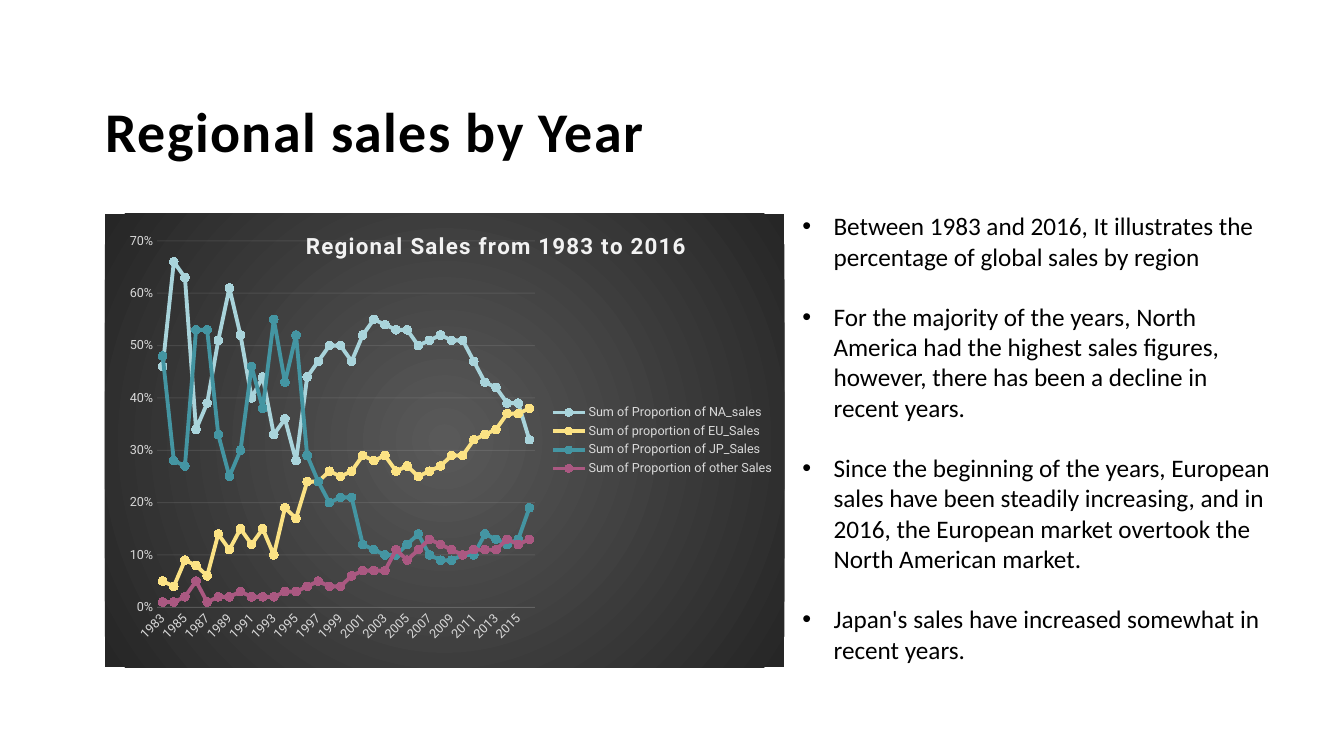
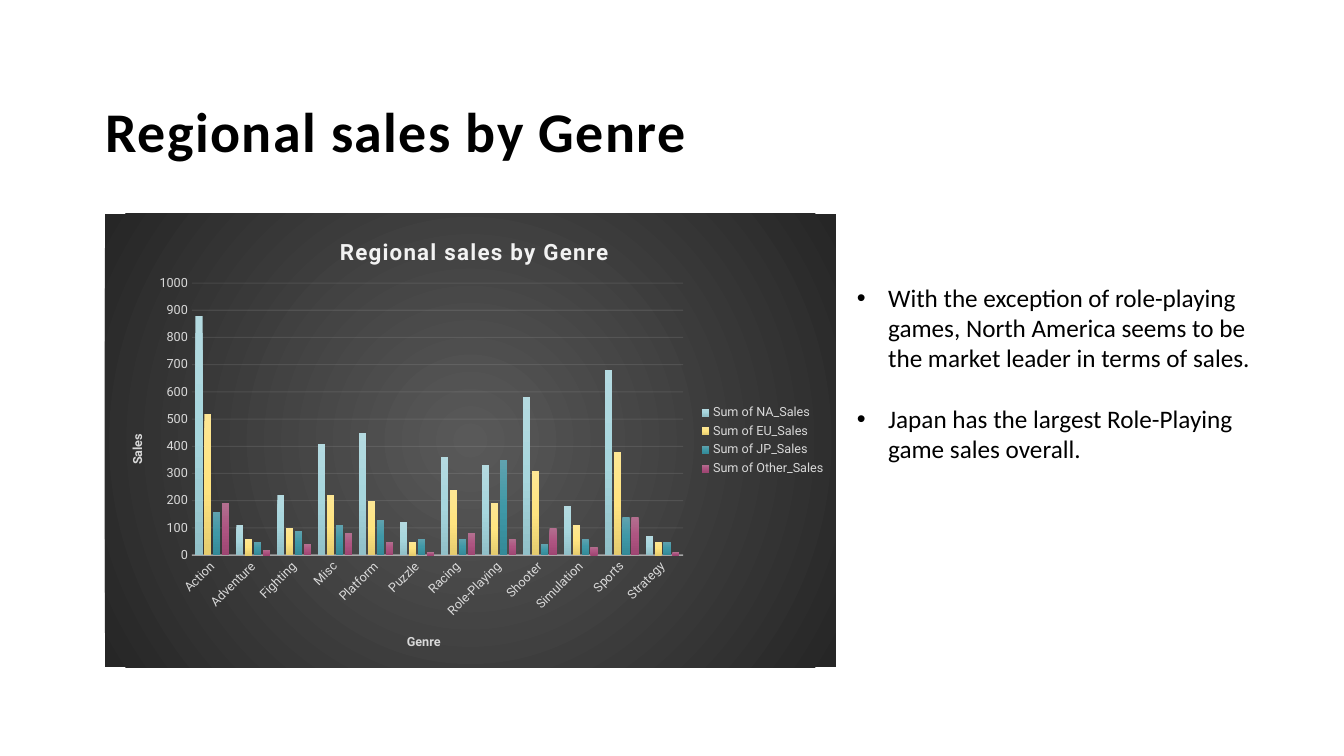
from dataclasses import dataclass
from typing import Any, NamedTuple

from lxml import etree
from pptx import Presentation
from pptx import util as u
from pptx.chart.data import CategoryChartData
from pptx.dml.color import RGBColor
from pptx.enum import chart as charts, text
from pptx.oxml import parse_xml
from pptx.oxml.ns import nsdecls, qn

PAGE_WIDTH, PAGE_HEIGHT = u.Inches(13.333), u.Inches(7.5)
BLACK, PALE, GREY = "000000", "F2F2F2", "D9D9D9"
BACKDROP = ("595959", "262626")
TITLE_FORMAT = {"name": "Calibri", "size": u.Pt(40), "bold": True, "color": BLACK}
BODY_FORMAT = {"name": "Calibri", "size": u.Pt(18), "color": BLACK}
LABEL_FORMAT = {"name": "Roboto", "size": u.Pt(9), "bold": False, "color": GREY}
AXIS_TITLE_FORMAT = LABEL_FORMAT | {"bold": True}
CHART_TITLE_FORMAT = {"name": "Roboto", "size": u.Pt(16), "bold": True, "color": PALE}


class Region(NamedTuple):
    """A rectangle in percent of the page."""
    left: float
    top: float
    width: float
    height: float

    def lengths(self) -> list[int]:
        sides = (PAGE_WIDTH, PAGE_HEIGHT) * 2
        return [round(side * share / 100) for side, share in zip(sides, self)]


class SeriesLook(NamedTuple):
    line: str
    light: str
    base: str
    dark: str


class AxisTitle(NamedTuple):
    label: str
    x: float
    y: float


@dataclass
class ChartPlan:
    kind: Any
    region: Region
    title: AxisTitle
    plot: tuple[float, float, float, float]
    categories: list[str]
    series: dict[str, list[float]]
    maximum: float
    unit: float
    number_format: str
    axis_width: float
    axis_opacity: int
    axis_titles: tuple[AxisTitle, ...] = ()


@dataclass
class PagePlan:
    title: str
    chart: ChartPlan
    points_region: Region
    points: list[str]


TITLE_REGION = Region(7.88, 12.8, 66.3, 8.93)
LOOKS = [
    SeriesLook("A9D4DB", "B4DAE0", "A7D6DD", "91C0C8"),
    SeriesLook("FBE284", "FDE694", "FFE480", "E5CC6F"),
    SeriesLook("4495A2", "60A2AE", "3F98A7", "348A98"),
    SeriesLook("AA5881", "B36F8F", "AE5481", "9F4673"),
]

YEAR_CHART = ChartPlan(
    charts.XL_CHART_TYPE.LINE_MARKERS, Region(7.8, 28.27, 50.56, 60),
    AxisTitle("Regional Sales from 1983 to 2016", 0.29, 0.03),
    (0.077, 0.06, 0.556, 0.808),
    [str(year) for year in range(1983, 2017)],
    {
        "Sum of Proportion of NA_sales": [
            0.46, 0.66, 0.63, 0.34, 0.39, 0.51, 0.61, 0.52, 0.4, 0.44, 0.33, 0.36,
            0.28, 0.44, 0.47, 0.5, 0.5, 0.47, 0.52, 0.55, 0.54, 0.53, 0.53, 0.5,
            0.51, 0.52, 0.51, 0.51, 0.47, 0.43, 0.42, 0.39, 0.39, 0.32],
        "Sum of proportion of EU_Sales": [
            0.05, 0.04, 0.09, 0.08, 0.06, 0.14, 0.11, 0.15, 0.12, 0.15, 0.1, 0.19,
            0.17, 0.24, 0.24, 0.26, 0.25, 0.26, 0.29, 0.28, 0.29, 0.26, 0.27, 0.25,
            0.26, 0.27, 0.29, 0.29, 0.32, 0.33, 0.34, 0.37, 0.37, 0.38],
        "Sum of Proportion of JP_Sales": [
            0.48, 0.28, 0.27, 0.53, 0.53, 0.33, 0.25, 0.3, 0.46, 0.38, 0.55, 0.43,
            0.52, 0.29, 0.24, 0.2, 0.21, 0.21, 0.12, 0.11, 0.1, 0.1, 0.12, 0.14,
            0.1, 0.09, 0.09, 0.1, 0.1, 0.14, 0.13, 0.12, 0.13, 0.19],
        "Sum of Proportion of other Sales": [
            0.01, 0.01, 0.02, 0.05, 0.01, 0.02, 0.02, 0.03, 0.02, 0.02, 0.02, 0.03,
            0.03, 0.04, 0.05, 0.04, 0.04, 0.06, 0.07, 0.07, 0.07, 0.11, 0.09, 0.11,
            0.13, 0.12, 0.11, 0.1, 0.11, 0.11, 0.11, 0.13, 0.12, 0.13],
    },
    0.7, 0.1, "0%", 0.75, 10,
)

GENRE_CHART = ChartPlan(
    charts.XL_CHART_TYPE.COLUMN_CLUSTERED, Region(7.8, 28.27, 54.39, 60),
    AxisTitle("Regional sales by Genre", 0.316, 0.045),
    (0.119, 0.153, 0.672, 0.6),
    ["Action", "Adventure", "Fighting", "Misc", "Platform", "Puzzle", "Racing",
     "Role-Playing", "Shooter", "Simulation", "Sports", "Strategy"],
    {
        "Sum of NA_Sales": [880, 110, 220, 410, 450, 120, 360, 330, 580, 180, 680, 70],
        "Sum of EU_Sales": [520, 60, 100, 220, 200, 50, 240, 190, 310, 110, 380, 50],
        "Sum of JP_Sales": [160, 50, 90, 110, 130, 60, 60, 350, 40, 60, 140, 50],
        "Sum of Other_Sales": [190, 20, 40, 80, 50, 10, 80, 60, 100, 30, 140, 10],
    },
    1000, 100, "General", 1, 54,
    (AxisTitle("Genre", 0.41, 0.92), AxisTitle("Sales", 0.03, 0.48)),
)

PAGES = [
    PagePlan("Regional sales by Year", YEAR_CHART, Region(58.96, 27.2, 36.83, 61.87), [
        "Between 1983 and 2016, It illustrates the percentage of global sales by region",
        "For the majority of the years, North America had the highest sales figures, "
        "however, there has been a decline in recent years.",
        "Since the beginning of the years, European sales have been steadily increasing, "
        "and in 2016, the European market overtook the North American market.",
        "Japan's sales have increased somewhat in recent years.",
    ]),
    PagePlan("Regional sales by Genre", GENRE_CHART, Region(63.02, 36.67, 31.28, 25.6), [
        "With the exception of role-playing games, North America seems to be the market "
        "leader in terms of sales.",
        "Japan has the largest Role-Playing game sales overall.",
    ]),
]


def rgb(colour: str) -> RGBColor:
    return RGBColor.from_string(colour)


def apply_format(font: Any, values: dict[str, Any]) -> None:
    for name, value in values.items():
        if name == "color":
            font.color.rgb = rgb(value)
        else:
            setattr(font, name, value)


def draw_line(line: Any, colour: str, width: float, opacity: int = 100) -> None:
    line.color.rgb, line.width = rgb(colour), u.Pt(width)
    if opacity < 100:
        shade = line._get_or_add_ln().find(".//" + qn("a:srgbClr"))
        etree.SubElement(shade, qn("a:alpha")).set("val", str(opacity * 1000))


def gradient(colours: tuple[str, ...], direction: str) -> Any:
    """Evenly spaced gradient fill; direction is its a:lin or a:path element."""
    step = 100000 // (len(colours) - 1)
    stops = "".join(f'<a:gs pos="{index * step}"><a:srgbClr val="{colour}"/></a:gs>'
                    for index, colour in enumerate(colours))
    return parse_xml(f'<a:gradFill {nsdecls("a")} rotWithShape="1">'
                     f"<a:gsLst>{stops}</a:gsLst>{direction}</a:gradFill>")


def set_layout(element: Any, *shares: float) -> None:
    """Fix x, y and optionally width, height as shares of the chart."""
    for old in element.findall(qn("c:layout")):
        element.remove(old)
    layout = etree.Element(qn("c:layout"))
    manual = etree.SubElement(layout, qn("c:manualLayout"))
    settings = [("layoutTarget", "inner")] if len(shares) == 4 else []
    settings += [("xMode", "edge"), ("yMode", "edge"), *zip("xywh", shares)]
    for name, value in settings:
        etree.SubElement(manual, qn(f"c:{name}")).set("val", str(value))
    element.insert(0 if element.find(qn("c:tx")) is None else 1, layout)


def write_title(title: Any, plan: AxisTitle, values: dict[str, Any]) -> Any:
    title.text_frame.text = plan.label
    span = title.text_frame.paragraphs[0].runs[0]
    apply_format(span.font, values)
    set_layout(title._element, plan.x, plan.y)
    return span


def space_letters(span: Any) -> None:
    span.font._element.set("spc", "100")


def add_page_title(page: Any, label: str) -> None:
    frame = page.shapes.add_textbox(*TITLE_REGION.lengths()).text_frame
    settings = {"word_wrap": True, "vertical_anchor": text.MSO_ANCHOR.BOTTOM,
                "margin_left": 0, "margin_right": 0, "margin_top": 0, "margin_bottom": 0}
    for name, value in settings.items():
        setattr(frame, name, value)
    para = frame.paragraphs[0]
    para.line_spacing = 0.9
    span = para.add_run()
    span.text = label
    apply_format(span.font, TITLE_FORMAT)
    space_letters(span)


def add_points(page: Any, region: Region, points: list[str]) -> None:
    frame = page.shapes.add_textbox(*region.lengths()).text_frame
    frame.word_wrap = True
    indent = u.Inches(0.31)
    for index, point in enumerate(points):
        para = frame.add_paragraph() if index else frame.paragraphs[0]
        span = para.add_run()
        span.text = point
        apply_format(span.font, BODY_FORMAT)
        if index < len(points) - 1:
            para.space_after = u.Pt(21.6)
        settings = para._p.get_or_add_pPr()
        settings.set("marL", str(indent))
        settings.set("indent", str(-indent))
        etree.SubElement(settings, qn("a:buFont")).set("typeface", "Arial")
        etree.SubElement(settings, qn("a:buChar")).set("char", "•")


def style_axes(chart: Any, plan: ChartPlan) -> None:
    category, value = axes = chart.category_axis, chart.value_axis
    for axis in axes:
        axis.major_tick_mark = axis.minor_tick_mark = charts.XL_TICK_MARK.NONE
        apply_format(axis.tick_labels.font, LABEL_FORMAT)
    draw_line(category.format.line, PALE, plan.axis_width, plan.axis_opacity)
    category._element.find(qn("c:txPr")).find(qn("a:bodyPr")).set("rot", "-2700000")
    value.format.line.fill.background()
    value.minimum_scale, value.maximum_scale, value.major_unit = 0, plan.maximum, plan.unit
    value.tick_labels.number_format = plan.number_format
    value.tick_labels.number_format_is_linked = False
    draw_line(value.major_gridlines.format.line, PALE, 0.75, 10)
    for axis, title in zip(axes, plan.axis_titles):
        write_title(axis.axis_title, title, AXIS_TITLE_FORMAT)
    if plan.axis_titles:
        value.axis_title.text_frame._bodyPr.set("rot", "-5400000")


def style_series(series: Any, look: SeriesLook, is_line: bool) -> None:
    if not is_line:
        series.invert_if_negative = False
        fill = gradient(look[1:], '<a:lin ang="5400000" scaled="0"/>')
        series._element.get_or_add_spPr().insert(0, fill)
        return
    series.smooth = False
    draw_line(series.format.line, look.line, 2.75)
    marker = series.marker
    marker.style, marker.size = charts.XL_MARKER_STYLE.CIRCLE, 6
    marker.format.fill.solid()
    marker.format.fill.fore_color.rgb = rgb(look.base)
    draw_line(marker.format.line, look.base, 0.75)


def add_sales_chart(page: Any, plan: ChartPlan) -> None:
    data = CategoryChartData(number_format=plan.number_format)
    data.categories = plan.categories
    for name, values in plan.series.items():
        data.add_series(name, values)
    chart = page.shapes.add_chart(plan.kind, *plan.region.lengths(), data).chart
    apply_format(chart.font, {"name": "Roboto", "size": u.Pt(10), "color": "FFFFFF"})
    space_letters(write_title(chart.chart_title, plan.title, CHART_TITLE_FORMAT))
    chart.has_legend = True
    chart.legend.position = charts.XL_LEGEND_POSITION.RIGHT
    chart.legend.include_in_layout = False
    apply_format(chart.legend.font, LABEL_FORMAT)
    style_axes(chart, plan)
    is_line = plan.kind == charts.XL_CHART_TYPE.LINE_MARKERS
    plot = chart.plots[0]
    plot.vary_by_categories = False
    if not is_line:
        plot.gap_width, plot.overlap = 100, -24
    for series, look in zip(plot.series, LOOKS):
        style_series(series, look, is_line)
    body = chart.element.find(qn("c:chart"))
    set_layout(body.find(qn("c:plotArea")), *plan.plot)
    backdrop = parse_xml(f'<c:spPr {nsdecls("c", "a")}><a:ln><a:noFill/></a:ln></c:spPr>')
    centre = '<a:fillToRect l="50000" t="50000" r="50000" b="50000"/>'
    backdrop.insert(0, gradient(BACKDROP, f'<a:path path="circle">{centre}</a:path>'))
    body.addnext(backdrop)


def main() -> None:
    deck = Presentation()
    deck.slide_width, deck.slide_height = PAGE_WIDTH, PAGE_HEIGHT
    for plan in PAGES:
        page = deck.slides.add_slide(deck.slide_layouts[6])
        add_page_title(page, plan.title)
        add_sales_chart(page, plan.chart)
        add_points(page, plan.points_region, plan.points)
    deck.save("out.pptx")


if __name__ == "__main__":
    main()
